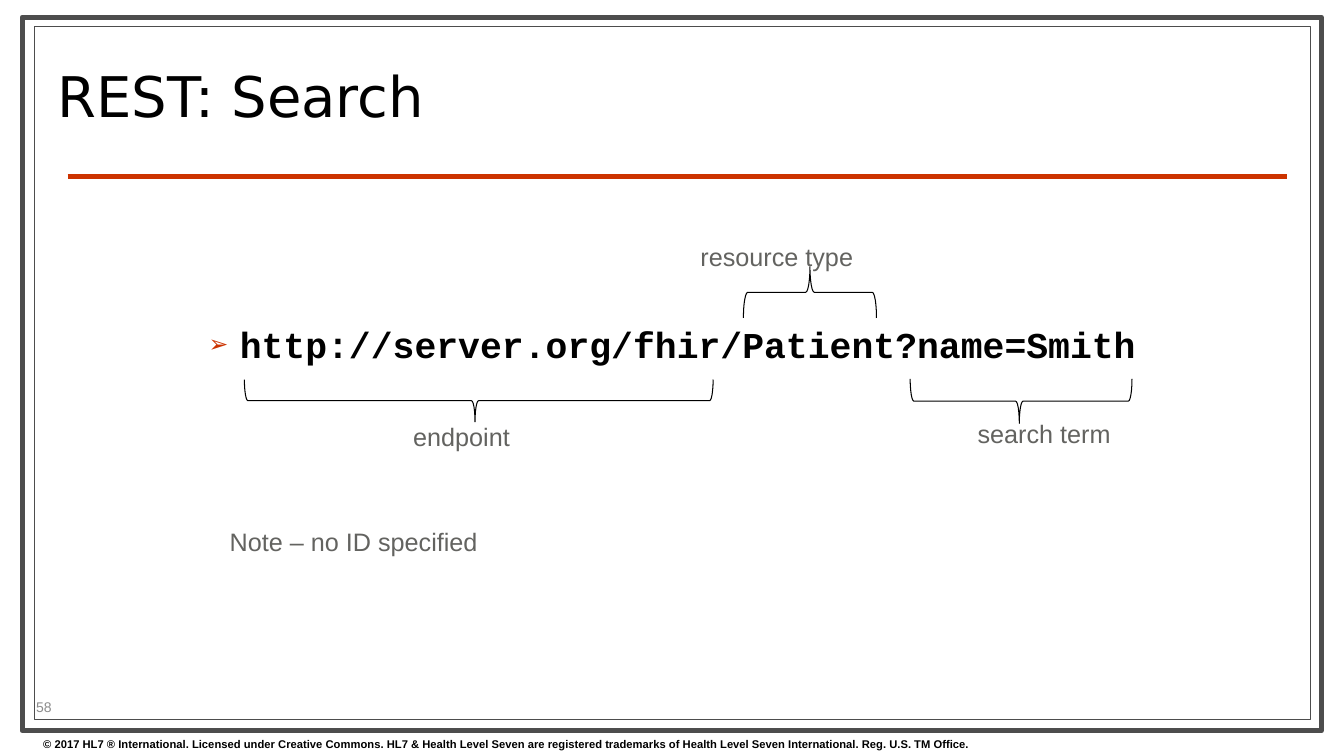
from dataclasses import dataclass

from lxml.etree import SubElement
from pptx import Presentation
from pptx.dml.color import RGBColor
from pptx.enum.shapes import MSO_CONNECTOR, MSO_SHAPE
from pptx.enum.text import MSO_ANCHOR
from pptx.oxml.ns import qn
from pptx.util import Inches, Pt


@dataclass(frozen=True)
class Theme:
    black: str = "000000"
    white: str = "FFFFFF"
    frame: str = "4D4D4D"
    accent: str = "CC3300"
    label: str = "636360"
    muted: str = "8C8C8C"
    sans: str = "Arial"
    heading: str = "DejaVu Sans"
    mono: str = "Courier New"
    title_size: int = 40
    url_size: int = 26
    label_size: int = 18
    number_size: int = 10
    footer_size: int = 8


class SearchSlide:
    """Draws elements on one slide, placed on a grid of 80 columns by 45 rows."""

    def __init__(self, deck, theme):
        self.theme = theme
        self.slide = deck.slides.add_slide(deck.slide_layouts[6])
        self.column = deck.slide_width / 80
        self.row = deck.slide_height / 45

    def place(self, left, top, width, height):
        return (round(left * self.column), round(top * self.row),
                round(width * self.column), round(height * self.row))

    def stroke(self, line, color, weight):
        line.color.rgb = RGBColor.from_string(color)
        line.width = Pt(weight)

    def frame(self, area, weight):
        border = self.slide.shapes.add_shape(MSO_SHAPE.RECTANGLE, *self.place(*area))
        border.shadow.inherit = False
        border.fill.solid()
        border.fill.fore_color.rgb = RGBColor.from_string(self.theme.white)
        self.stroke(border.line, self.theme.frame, weight)

    def rule(self, left, right, row):
        start_x, y, length, _ = self.place(left, row, right - left, 0)
        divider = self.slide.shapes.add_connector(
            MSO_CONNECTOR.STRAIGHT, start_x, y, start_x + length, y)
        self.stroke(divider.line, self.theme.accent, 3)
        SubElement(divider._element.spPr, qn("a:effectLst"))

    def brace(self, area, rotation, tip):
        left, top, span, depth = self.place(*area)
        bracket = self.slide.shapes.add_shape(
            MSO_SHAPE.LEFT_BRACE, left + (span - depth) // 2,
            top + (depth - span) // 2, depth, span)
        bracket.rotation = rotation
        bracket.adjustments[0] = 0.083
        bracket.adjustments[1] = tip
        bracket.shadow.inherit = False
        bracket.fill.background()
        self.stroke(bracket.line, self.theme.black, 0.75)

    def text(self, words, area, size, color, font, bold=False, wrap=True,
             anchor=MSO_ANCHOR.MIDDLE, spacing=None, bullet=None):
        frame = self.slide.shapes.add_textbox(*self.place(*area)).text_frame
        frame.word_wrap = wrap
        frame.vertical_anchor = anchor
        paragraph = frame.paragraphs[0]
        if bullet:
            self.bullet(paragraph, bullet)
        paragraph.line_spacing = spacing
        run = paragraph.add_run()
        run.text = words
        for name, value in {"name": font, "size": Pt(size), "bold": bold}.items():
            setattr(run.font, name, value)
        run.font.color.rgb = RGBColor.from_string(color)

    def bullet(self, paragraph, symbol):
        properties = paragraph._p.get_or_add_pPr()
        properties.set("marL", str(Inches(0.81)))
        properties.set("indent", str(Inches(-0.31)))
        tint = SubElement(properties, qn("a:buClr"))
        SubElement(tint, qn("a:srgbClr"), val=self.theme.accent)
        SubElement(properties, qn("a:buSzPct"), val="65000")
        SubElement(properties, qn("a:buFont"), typeface=self.theme.sans)
        SubElement(properties, qn("a:buChar"), char=symbol)

    def label(self, words, left, top, width):
        self.text(words, (left, top, width, 2.4), self.theme.label_size,
                  self.theme.label, self.theme.sans, wrap=False, anchor=MSO_ANCHOR.TOP)


def main():
    theme = Theme()
    deck = Presentation()
    deck.slide_width, deck.slide_height = Inches(13.33), Inches(7.5)
    search = SearchSlide(deck, theme)

    search.frame((1.32, 1.02, 77.34, 42.48), 3.5)
    search.frame((2.04, 1.56, 75.96, 41.28), 0.75)
    search.rule(4.02, 76.62, 10.5)
    search.text("© 2017 HL7 ® International. Licensed under Creative Commons. "
                "HL7 & Health Level Seven are registered trademarks of "
                "Health Level Seven International. Reg. U.S. TM Office.",
                (1.98, 43.62, 78, 1.38), theme.footer_size, theme.black,
                theme.sans, bold=True)
    search.text("REST: Search", (2.82, 2.16, 57.3, 7.74), theme.title_size,
                theme.black, theme.heading, spacing=0.8)
    search.text("http://server.org/fhir/Patient?name=Smith", (8.82, 19, 69, 3),
                theme.url_size, theme.black, theme.mono, bold=True, bullet="➢")
    search.text("58", (1.56, 41.34, 6.3, 1.44), theme.number_size,
                theme.muted, theme.sans)

    for area, rotation, tip in (
        ((14.55, 22.59, 27.9, 2.52), 270, 0.492),
        ((44.25, 15.87, 7.92, 3.06), 90, 0.5),
        ((54.18, 22.56, 13.2, 2.64), 270, 0.492),
    ):
        search.brace(area, rotation, tip)

    for words, left, top, width in (
        ("endpoint", 24, 24.78, 7.02),
        ("resource type", 41.1, 14.04, 10.38),
        ("search term", 57.6, 24.6, 9.18),
        ("Note – no ID specified", 13.08, 31.02, 16.08),
    ):
        search.label(words, left, top, width)

    deck.save("out.pptx")


if __name__ == "__main__":
    main()
